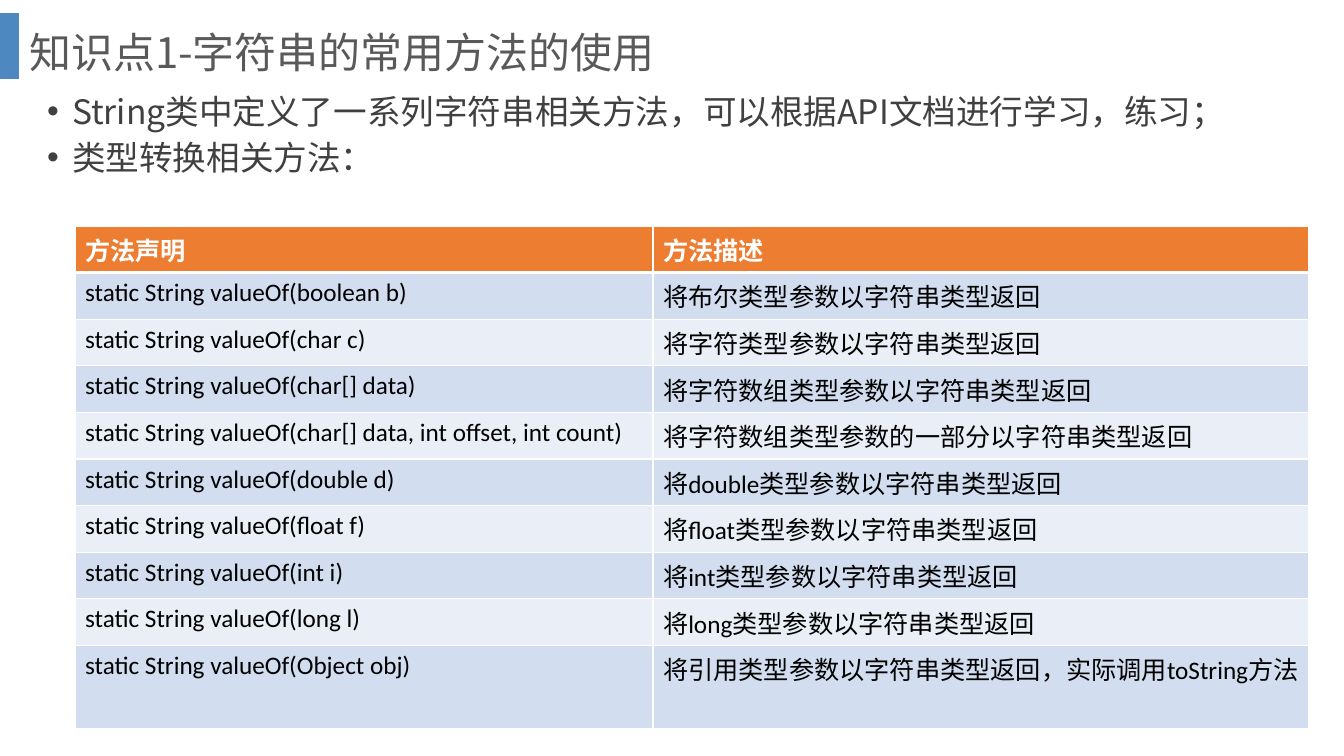
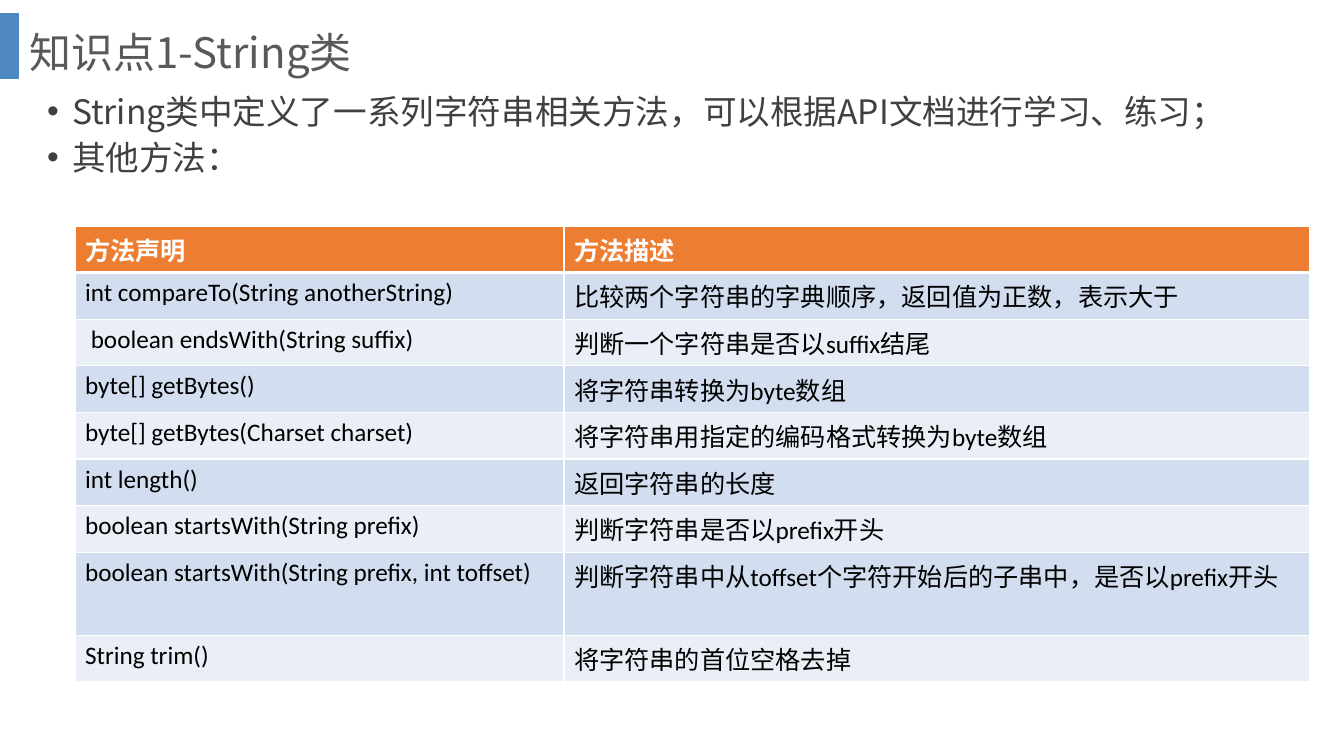
"""Build two slides of String method tables with a shared title band and bullet style."""
import dataclasses

import lxml.etree
import pptx
import pptx.dml.color
import pptx.enum.shapes
import pptx.enum.text
import pptx.oxml.ns
import pptx.util


@dataclasses.dataclass(frozen=True)
class Theme:
    heading_font: str = "Noto Sans CJK SC"
    table_font: str = "Calibri"
    title_size: int = 30
    body_size: int = 24
    table_size: int = 18
    title_color: str = "595959"
    body_color: str = "404040"
    band_color: str = "2E75B6"
    header_fill: str = "ED7D31"
    row_fills: tuple = ("EAEFF7", "D2DEEF")
    header_text: str = "FFFFFF"
    cell_text: str = "000000"
    border_color: str = "FFFFFF"


theme = Theme()
qn = pptx.oxml.ns.qn
rgb = pptx.dml.color.RGBColor.from_string


def px(pixels):
    return pptx.util.Emu(round(pixels * 914400 / 100.8))


def style_runs(paragraph, font_name, size, color, bold=False):
    for run in paragraph.runs:
        run.font.name = font_name
        run.font.size = pptx.util.Pt(size)
        run.font.bold = bold
        run.font.color.rgb = rgb(color)
        east_asian = lxml.etree.Element(qn("a:ea"), typeface=theme.heading_font)
        run.font._element.find(qn("a:latin")).addnext(east_asian)


header = ("方法声明", "方法描述")
pages = [
    {
        "title": "知识点1-字符串的常用方法的使用",
        "bullets": ["String类中定义了一系列字符串相关方法，可以根据API文档进行学习，练习；",
                    "类型转换相关方法："],
        "columns": (578, 656),
        "header_height": 41,
        "methods": [
            ("static String valueOf(boolean b)", "将布尔类型参数以字符串类型返回"),
            ("static String valueOf(char c)", "将字符类型参数以字符串类型返回"),
            ("static String valueOf(char[] data)", "将字符数组类型参数以字符串类型返回"),
            ("static String valueOf(char[] data, int offset, int count)",
             "将字符数组类型参数的一部分以字符串类型返回"),
            ("static String valueOf(double d)", "将double类型参数以字符串类型返回"),
            ("static String valueOf(float f)", "将float类型参数以字符串类型返回"),
            ("static String valueOf(int i)", "将int类型参数以字符串类型返回"),
            ("static String valueOf(long l)", "将long类型参数以字符串类型返回"),
            ("static String valueOf(Object obj)",
             "将引用类型参数以字符串类型返回，实际调用toString方法"),
        ],
    },
    {
        "title": "知识点1-String类",
        "bullets": ["String类中定义了一系列字符串相关方法，可以根据API文档进行学习、练习；",
                    "其他方法："],
        "columns": (489, 746),
        "header_height": 21,
        "methods": [
            ("int compareTo(String anotherString)",
             "比较两个字符串的字典顺序，返回值为正数，表示大于"),
            (" boolean endsWith(String suffix)", "判断一个字符串是否以suffix结尾"),
            ("byte[] getBytes()", "将字符串转换为byte数组"),
            ("byte[] getBytes(Charset charset)", "将字符串用指定的编码格式转换为byte数组"),
            ("int length()", "返回字符串的长度"),
            ("boolean startsWith(String prefix)", "判断字符串是否以prefix开头"),
            ("boolean startsWith(String prefix, int toffset)",
             "判断字符串中从toffset个字符开始后的子串中，是否以prefix开头"),
            ("String trim()", "将字符串的首位空格去掉"),
        ],
    },
]

presentation = pptx.Presentation()
presentation.slide_width = px(1344)
presentation.slide_height = px(756)
layout = presentation.slide_layouts[1]
for placeholder, box in zip(layout.placeholders, [(19, 0, 1276, 110), (37, 86, 1215, 138)]):
    placeholder.left, placeholder.top, placeholder.width, placeholder.height = map(px, box)

for page in pages:
    slide = presentation.slides.add_slide(layout)

    title_frame = slide.shapes.title.text_frame
    title_frame.text = page["title"]
    title_frame.auto_size = pptx.enum.text.MSO_AUTO_SIZE.NONE
    title_frame.vertical_anchor = pptx.enum.text.MSO_ANCHOR.MIDDLE
    title_paragraph = title_frame.paragraphs[0]
    title_paragraph.alignment = pptx.enum.text.PP_ALIGN.LEFT
    title_paragraph.line_spacing = 0.9
    style_runs(title_paragraph, theme.heading_font, theme.title_size, theme.title_color)

    body_frame = slide.placeholders[1].text_frame
    body_frame.text = "\n".join(page["bullets"])
    body_frame.auto_size = pptx.enum.text.MSO_AUTO_SIZE.NONE
    for paragraph, space_before in zip(body_frame.paragraphs, (10, 4)):
        paragraph.line_spacing = 1.0
        paragraph.space_before = pptx.util.Pt(space_before)
        properties = paragraph._p.get_or_add_pPr()
        properties.set("marL", str(px(25)))
        properties.set("indent", str(px(-25)))
        style_runs(paragraph, theme.heading_font, theme.body_size, theme.body_color)

    rows = [header, *page["methods"]]
    heights = [page["header_height"]] + [41] * len(page["methods"])
    table = slide.shapes.add_table(
        len(rows), len(header), px(75), px(226), px(sum(page["columns"])), px(sum(heights))
    ).table
    for column, width in zip(table.columns, page["columns"]):
        column.width = px(width)
    for row_index, (texts, height) in enumerate(zip(rows, heights)):
        table.rows[row_index].height = px(height)
        is_header = row_index == 0
        fill_color = theme.header_fill if is_header else theme.row_fills[row_index % 2]
        text_color = theme.header_text if is_header else theme.cell_text
        border_widths = {"L": 1, "R": 1, "T": 3 if row_index == 1 else 1, "B": 3 if is_header else 1}
        for column_index, text in enumerate(texts):
            cell = table.cell(row_index, column_index)
            cell.text_frame.text = text
            style_runs(cell.text_frame.paragraphs[0], theme.table_font, theme.table_size,
                       text_color, is_header)
            cell_properties = cell._tc.get_or_add_tcPr()
            for side, width in border_widths.items():
                border = lxml.etree.SubElement(
                    cell_properties, qn(f"a:ln{side}"), w=str(pptx.util.Pt(width)))
                border_fill = lxml.etree.SubElement(border, qn("a:solidFill"))
                lxml.etree.SubElement(border_fill, qn("a:srgbClr"), val=theme.border_color)
            cell.fill.solid()
            cell.fill.fore_color.rgb = rgb(fill_color)

band = presentation.slides[0].shapes.add_shape(
    pptx.enum.shapes.MSO_SHAPE.RECTANGLE, px(0), px(13), px(19), px(66))
band.shadow.inherit = False
band.line.fill.background()
band.fill.solid()
band.fill.fore_color.rgb = rgb(theme.band_color)
band_color = band.element.xpath(".//a:srgbClr")[0]
lxml.etree.SubElement(band_color, qn("a:alpha"), val="85000")
band.element.xpath(".//p:cNvPr")[0].set("id", "20")
presentation.slide_master.shapes.element.append(band.element)

presentation.save("out.pptx")
